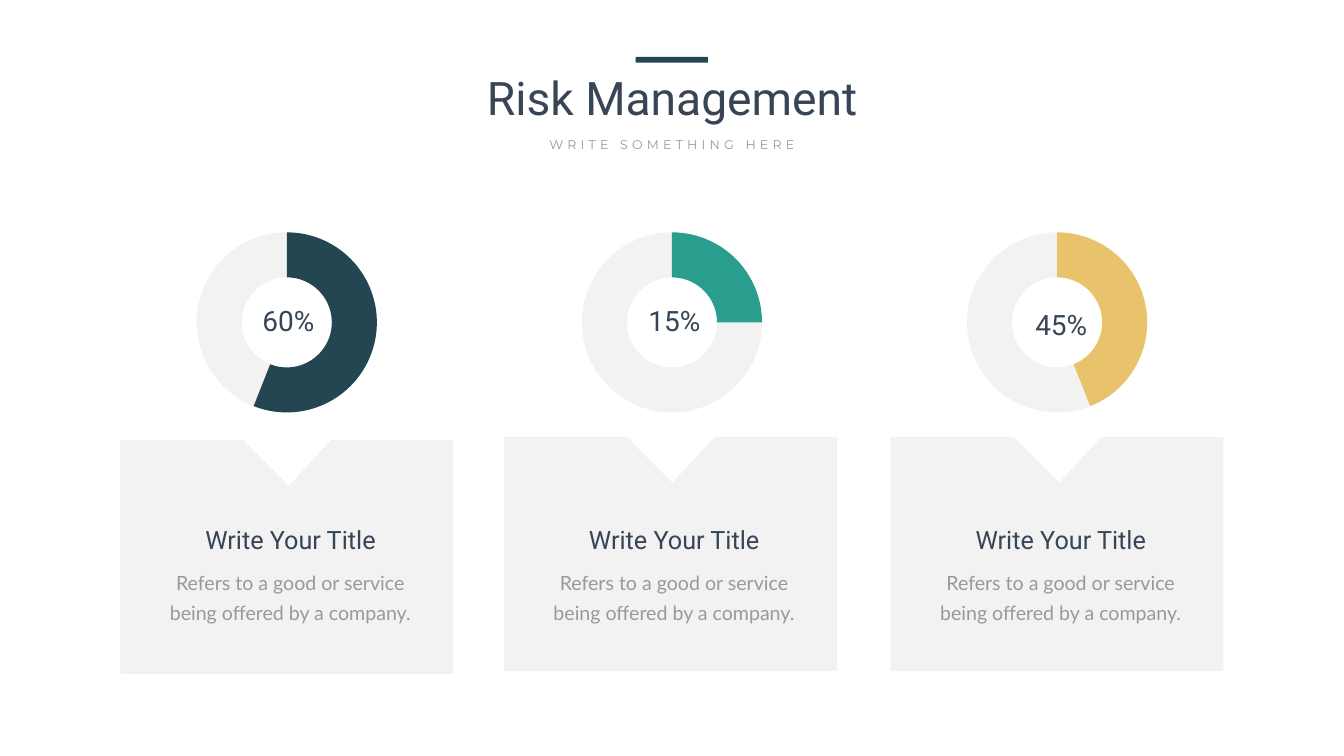
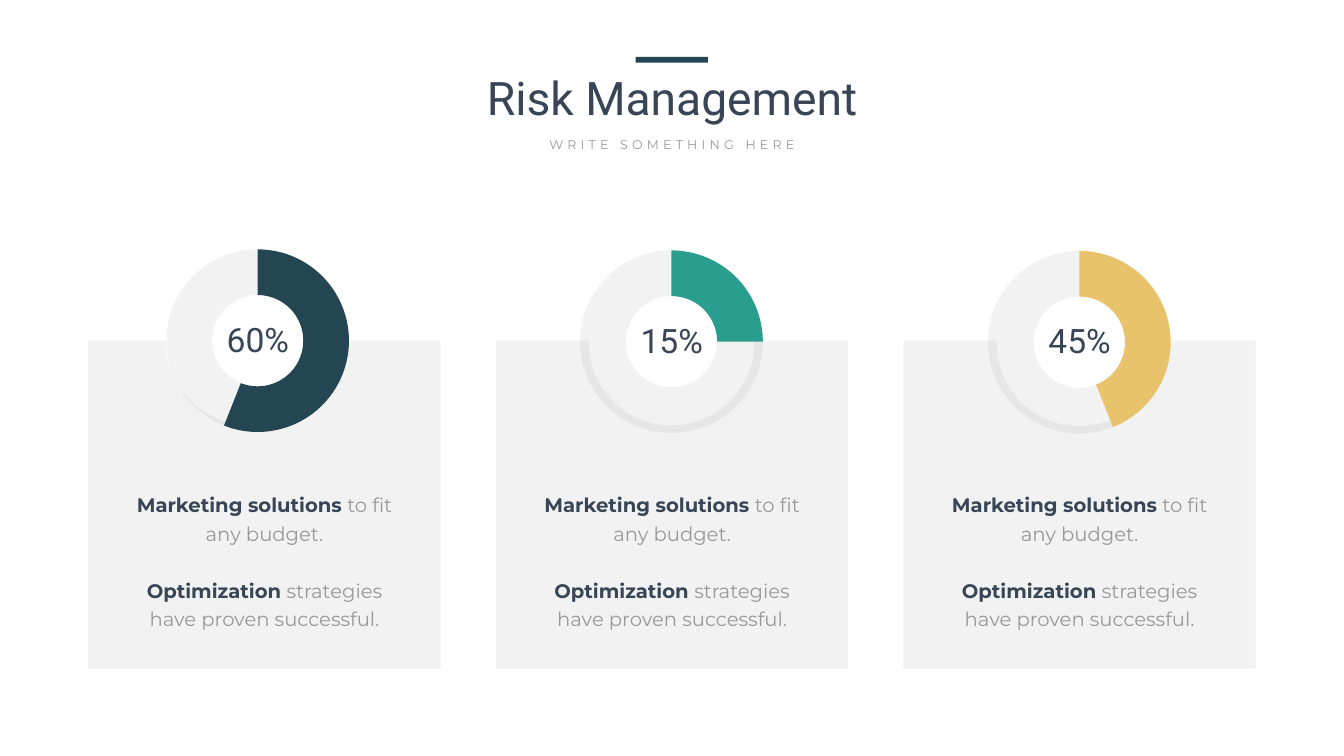
from lxml import etree
from pptx import Presentation
from pptx.chart.data import CategoryChartData
from pptx.dml.color import RGBColor
from pptx.enum.chart import XL_CHART_TYPE as ChartType
from pptx.enum.shapes import MSO_SHAPE as Shape
from pptx.enum.text import MSO_ANCHOR as Anchor, MSO_AUTO_SIZE as AutoSize, PP_ALIGN as Align
from pptx.oxml.ns import qn
from pptx.util import Pt

NAVY, TEAL, GOLD = "244653", "299D8E", "E9C36B"
INK, GREY, TINT = "374556", "999999", "808080"
WHITE, PAPER = "FFFFFF", "FEFFFE"
RISKS = [("60%", 56, NAVY), ("15%", 25, TEAL), ("45%", 44, GOLD)]


def paint(fill, color, alpha=None):
    """Give a fill a solid colour, with an optional opacity in percent."""
    fill.solid()
    fill.fore_color.rgb = RGBColor.from_string(color)
    if alpha is not None:
        tone = fill._xPr.find(qn("a:solidFill"))[0]
        etree.SubElement(tone, qn("a:alpha")).set("val", str(alpha * 1000))


def style(font, name, size, color, bold=False):
    """Set the typeface, size, colour and weight of a font."""
    font.name, font.size, font.bold = name, Pt(size), bold
    font.color.rgb = RGBColor.from_string(color)


def finish(shape, color, alpha=None):
    """Make a shape flat: solid fill, no line, no shadow."""
    paint(shape.fill, color, alpha)
    shape.line.fill.background()
    shape.shadow.inherit = False


def add_block(page, kind, box, color, alpha=None):
    """Add a flat preset shape."""
    finish(page.shapes.add_shape(kind, *map(Pt, box)), color, alpha)


def fill_text(holder, paragraphs, name, size, leading=None, gap=0, margins=(7.2, 3.6)):
    """Write centred paragraphs, each a list of (text, colour, bold) spans."""
    frame = holder.text_frame
    frame.word_wrap = True
    frame.auto_size = AutoSize.SHAPE_TO_FIT_TEXT
    frame.vertical_anchor = Anchor.TOP
    frame.margin_left = frame.margin_right = Pt(margins[0])
    frame.margin_top = frame.margin_bottom = Pt(margins[1])
    for index, spans in enumerate(paragraphs):
        para = frame.add_paragraph() if index else frame.paragraphs[0]
        para.alignment = Align.CENTER
        para.space_before = Pt(gap if index else 0)
        if leading:
            para.line_spacing = Pt(leading)
        for text, color, bold in spans:
            span = para.add_run()
            span.text = text
            style(span.font, name, size, color, bold)


def add_text(page, box, paragraphs, name, size, **options):
    """Add a text box with centred paragraphs."""
    fill_text(page.shapes.add_textbox(*map(Pt, box)), paragraphs, name, size, **options)


def place(holder, box):
    """Move a placeholder to a box."""
    holder.left, holder.top, holder.width, holder.height = map(Pt, box)


def add_header(page):
    """Fill the title and subtitle and add the accent bar above them."""
    title, subtitle = page.placeholders
    place(title, (557.3, 95, 805.7, 87.1))
    fill_text(title, [[("Risk Management", INK, False)]], "Roboto", 66)
    place(subtitle, (745.2, 191.5, 429.1, 28.8))
    fill_text(subtitle, [[("WRITE SOMETHING HERE", GREY, False)]], "Montserrat", 18)
    span = subtitle.text_frame.paragraphs[0].runs[0]
    span.font._element.set("spc", "600")
    add_block(page, Shape.RECTANGLE, (907.9, 81.4, 103, 7.9), NAVY)


def add_ring(page, box, share, color, hole):
    """Add a doughnut chart showing a share of one hundred."""
    data = CategoryChartData()
    data.categories = ["1", "2"]
    data.add_series("Series 1", (share, 100 - share))
    chart = page.shapes.add_chart(ChartType.DOUGHNUT, *map(Pt, box), data).chart
    chart.has_legend = chart.has_title = False
    style(chart.font, "Calibri", 10, GREY)
    plot = chart.plots[0]
    plot.vary_by_categories = True
    plot._element.find(qn("c:holeSize")).set("val", str(hole))
    for index, (tone, alpha) in enumerate([(color, None), (TINT, 10)]):
        wedge = plot.series[0].points[index].format
        paint(wedge.fill, tone, alpha)
        wedge.line.fill.background()


def add_notched_card(page, left, top):
    """Add a card with a notch, a heading and a description."""
    add_block(page, Shape.RECTANGLE, (left, top, 475.2, 334.1), TINT, 10)
    add_text(page, (left + 37, 797, 411.1, 99.4),
             [[("Refers to a good or service being offered by a company.", GREY, False)]],
             "Lato", 28, leading=43, margins=(17.3, 8.6))
    add_text(page, (left + 69.8, 745.9, 346.3, 51.1),
             [[("Write Your Title", INK, False)]], "Roboto", 36)
    x, y = left + 161.5, top - 14
    outline = page.shapes.build_freeform(Pt(x), Pt(y))
    outline.add_line_segments([(Pt(x + 152), Pt(y)), (Pt(x + 79), Pt(y + 79.2))])
    finish(outline.convert_to_shape(), WHITE)


def add_solution_card(page, left, top):
    """Add a card with two statements that open in bold."""
    add_block(page, Shape.RECTANGLE, (left, top, 503.3, 468.4), TINT, 10)
    statements = [("Marketing solutions ", "to fit any budget."),
                  ("Optimization ", "strategies have proven successful.")]
    paragraphs = [[(lead, INK, True), (rest, GREY, False)] for lead, rest in statements]
    add_text(page, (left + 48, top + 206.7, 407.5, 211), paragraphs,
             "Montserrat", 28, leading=40.8, gap=40.8)


def build_notched_page(page):
    """Build the page with rings above notched cards."""
    add_header(page)
    cards = [(172, 628.6), (720, 624.2), (1272.2, 624.2)]
    nudges = [(76.4, 108.7), (77.7, 108), (80, 113.8)]
    for index, (label, share, color) in enumerate(RISKS):
        add_notched_card(page, *cards[index])
        left, top = 262 + 550.1 * index, 322
        add_ring(page, (left, top, 295.2, 277.2), share, color, 55)
        shift, drop = nudges[index]
        add_text(page, (left + shift, top + drop, 146.9, 55.4),
                 [[(label, INK, False)]], "Roboto", 40)


def build_overlap_page(page):
    """Build the page with rings overlapping the tops of the cards."""
    add_header(page)
    rings = [(218.2, 346.3), (809.3, 347.8), (1391.8, 348.5)]
    disc_shifts = [18.7, 31.7, 31.7]
    for index, (label, share, color) in enumerate(RISKS):
        add_solution_card(page, 126 + 582.1 * index, 486.7)
        left, top = rings[index]
        add_block(page, Shape.OVAL, (left + disc_shifts[index], top + 23.8, 236.2, 236.2), WHITE)
        add_ring(page, (left, top, 299.5, 280.8), share, color, 75)
        add_text(page, (left + 78.2, top + 105.1, 144, 70.6),
                 [[(label, INK, False)]], "Roboto", 48)


def main():
    """Build and save the deck."""
    deck = Presentation()
    deck.slide_width, deck.slide_height = Pt(1919.52), Pt(1080)
    paint(deck.slide_master.background.fill, PAPER)
    for build in (build_notched_page, build_overlap_page):
        build(deck.slides.add_slide(deck.slide_layouts[0]))
    deck.save("out.pptx")


if __name__ == "__main__":
    main()
